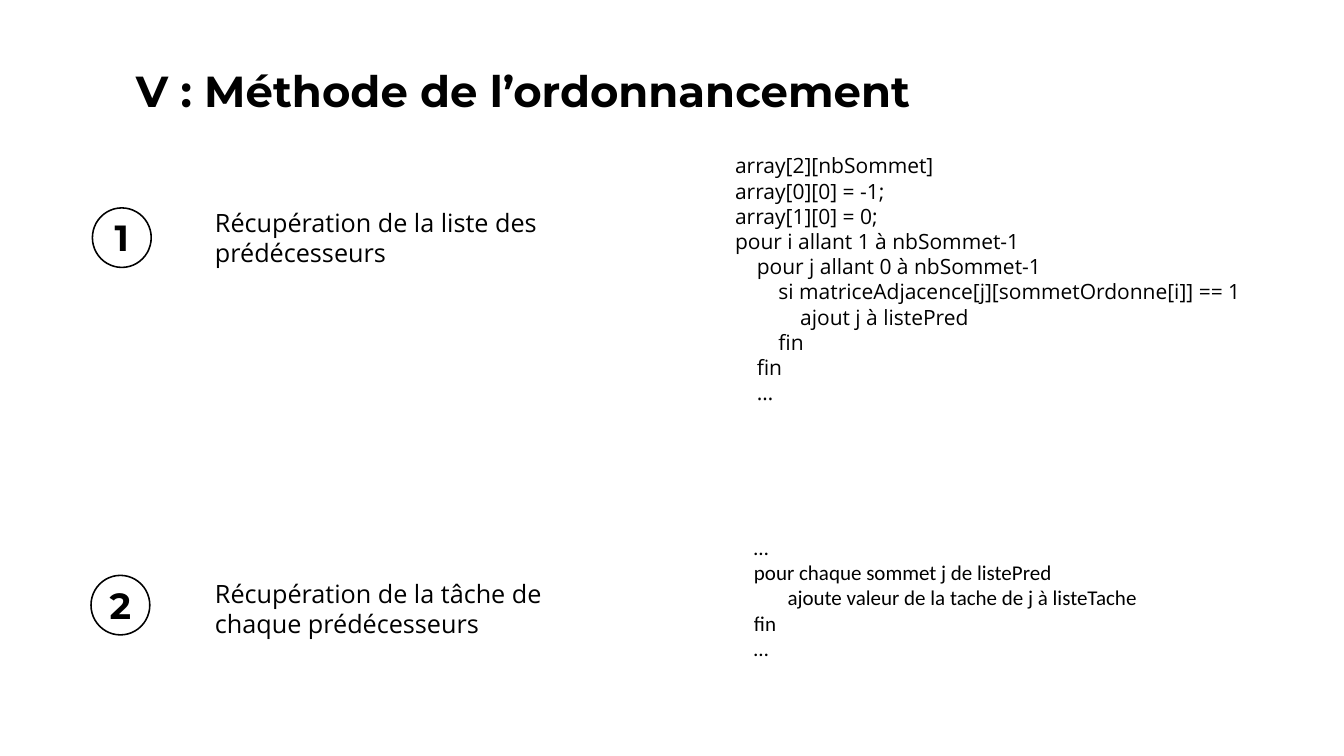
from pptx import Presentation
from pptx.dml.color import RGBColor
from pptx.enum.shapes import MSO_SHAPE
from pptx.enum.text import MSO_ANCHOR, MSO_AUTO_SIZE, PP_ALIGN
from pptx.util import Pt

PX = 12700  # EMU per px on a 1920 x 1080 slide
BLACK = RGBColor(0, 0, 0)
LEFT, CENTER = PP_ALIGN.LEFT, PP_ALIGN.CENTER
TOP = MSO_ANCHOR.TOP
NO_AUTOFIT = MSO_AUTO_SIZE.NONE
OVAL = MSO_SHAPE.OVAL

HEADING, BODY, CODE = "Montserrat", "Open Sans", "Calibri"

# Each code line is (indent in px, text)
PREDECESSORS_CODE = [
    (0, "array[2][nbSommet]"),
    (0, "array[0][0] = -1;"),
    (0, "array[1][0] = 0;"),
    (0, "pour i allant 1 à nbSommet-1"),
    (31, "pour j allant 0 à nbSommet-1"),
    (62, "si matriceAdjacence[j][sommetOrdonne[i]] == 1"),
    (93, "ajout j à listePred"),
    (62, "fin"),
    (31, "fin"),
    (31, "…"),
]
TASKS_CODE = [
    (27, "…"),
    (27, "pour chaque sommet j de listePred"),
    (75, "ajoute valeur de la tache de j à listeTache"),
    (27, "fin"),
    (27, "…"),
]


def px(*lengths):
    return [n * PX for n in lengths]


def write(sp, lines, font, size, bold=False, align=LEFT):
    """Fill a shape with (indent, text) lines in one font."""
    tf = sp.text_frame
    tf.word_wrap = True
    tf.auto_size = NO_AUTOFIT
    tf.vertical_anchor = TOP
    for i, (indent, text) in enumerate(lines):
        p = tf.paragraphs[0] if i == 0 else tf.add_paragraph()
        p.text = text
        p.alignment = align
        if indent:
            p._p.get_or_add_pPr().set("marL", str(indent * PX))
        p.font.name = font
        p.font.size = Pt(size)
        p.font.bold = bold
        p.font.color.rgb = BLACK


def add_text(s, box, lines, font, size, bold=False, align=LEFT):
    sp = s.shapes.add_textbox(*px(*box))
    write(sp, lines, font, size, bold, align)


def add_title(s, box, text):
    sp = s.shapes.title
    sp.left, sp.top, sp.width, sp.height = px(*box)
    write(sp, [(0, text)], HEADING, 62, bold=True)


def add_badge(s, x, y, number):
    """Draw a step number in a ring."""
    ring = s.shapes.add_shape(OVAL, *px(x, y, 84, 85))
    ring.shadow.inherit = False
    ring.fill.background()
    ring.line.color.rgb = BLACK
    ring.line.width = Pt(2.25)
    add_text(s, (x + 12, y + 7, 60, 71), [(0, number)],
             HEADING, 52, bold=True, align=CENTER)


def add_step(s, badge, number, box, text):
    add_badge(s, *badge, number)
    add_text(s, box, [(0, text)], BODY, 36)


def main():
    prs = Presentation()
    prs.slide_width, prs.slide_height = px(1920, 1080)
    s = prs.slides.add_slide(prs.slide_layouts[5])

    add_title(s, (187, 88, 1408, 82), "V : Méthode de l’ordonnancement")
    add_step(s, (132, 297), "1", (300, 292, 587, 94),
             "Récupération de la liste des prédécesseurs")
    add_step(s, (130, 822), "2", (300, 822, 587, 94),
             "Récupération de la tâche de chaque prédécesseurs")
    add_text(s, (1043, 215, 745, 371), PREDECESSORS_CODE, BODY, 30)
    add_text(s, (1043, 760, 698, 189), TASKS_CODE, CODE, 30)

    prs.save("out.pptx")


if __name__ == "__main__":
    main()
